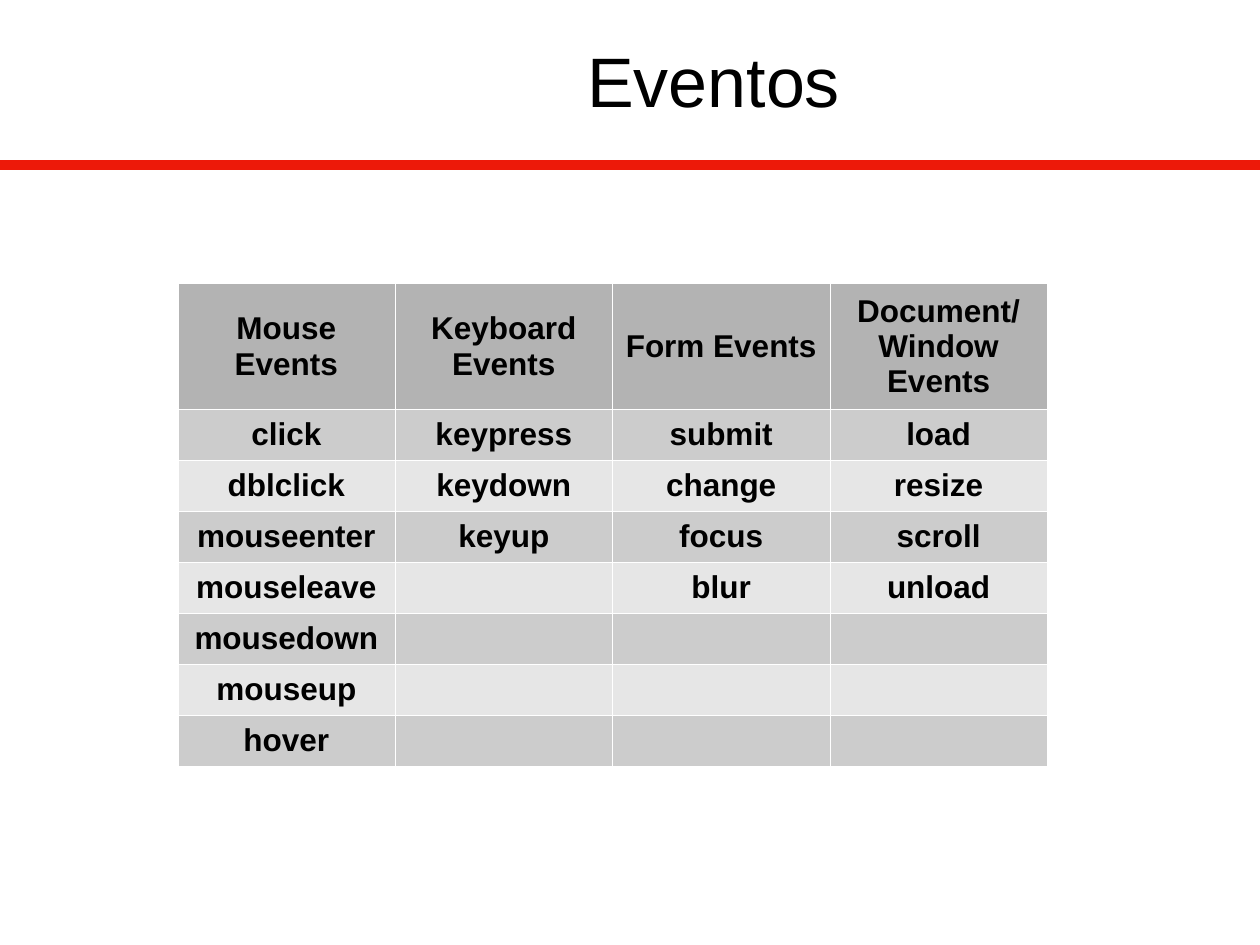
from dataclasses import dataclass

from lxml import etree
from pptx import Presentation
from pptx.dml.color import RGBColor
from pptx.enum.shapes import MSO_CONNECTOR
from pptx.enum.text import MSO_ANCHOR, PP_ALIGN
from pptx.oxml.ns import qn
from pptx.util import Pt

STRAIGHT = MSO_CONNECTOR.STRAIGHT
MIDDLE = MSO_ANCHOR.MIDDLE
CENTER = PP_ALIGN.CENTER

SLIDE_WIDTH, SLIDE_HEIGHT = 720, 540
TABLE_LEFT, TABLE_TOP = 101.5, 162
COLUMN_WIDTH, HEADER_HEIGHT, ROW_HEIGHT = 124.25, 72, 29
HEADER_FILL = "B3B3B3"
BAND_FILLS = ("CCCCCC", "E6E6E6")
BORDER_SIDES = ("a:lnL", "a:lnR", "a:lnT", "a:lnB")


@dataclass(frozen=True)
class EventGroup:
    heading: str
    events: tuple[str, ...]


EVENT_GROUPS = (
    EventGroup("Mouse Events", ("click", "dblclick", "mouseenter", "mouseleave",
                                "mousedown", "mouseup", "hover")),
    EventGroup("Keyboard Events", ("keypress", "keydown", "keyup")),
    EventGroup("Form Events", ("submit", "change", "focus", "blur")),
    EventGroup("Document/Window Events", ("load", "resize", "scroll", "unload")),
)


def color(hex_code: str) -> RGBColor:
    return RGBColor.from_string(hex_code)


def write(frame, text: str, *, size: float, bold: bool = False,
          fill: str = "000000", font: str = "Arial") -> None:
    paragraph = frame.paragraphs[0]
    paragraph.alignment = CENTER
    run = paragraph.add_run()
    run.text = text
    run.font.name = font
    run.font.size = Pt(size)
    run.font.bold = bold
    run.font.color.rgb = color(fill)


def add_rule(slide, y: float, width: float, stroke: str) -> None:
    rule = slide.shapes.add_connector(STRAIGHT, Pt(0), Pt(y), Pt(SLIDE_WIDTH), Pt(y))
    rule.line.color.rgb = color(stroke)
    rule.line.width = Pt(width)
    etree.SubElement(rule._element.spPr, qn("a:effectLst"))


def format_title(title, text: str) -> None:
    title.left, title.top = Pt(110), Pt(-6.5)
    title.width, title.height = Pt(595.5), Pt(103.5)
    title.text_frame.vertical_anchor = MIDDLE
    write(title.text_frame, text, size=40)


def add_borders(cell, width: float, stroke: str) -> None:
    properties = cell._tc.get_or_add_tcPr()
    for side in BORDER_SIDES:
        border = etree.SubElement(properties, qn(side), w=str(int(Pt(width))))
        solid = etree.SubElement(border, qn("a:solidFill"))
        etree.SubElement(solid, qn("a:srgbClr"), val=stroke)


def format_cell(cell, text: str, fill: str) -> None:
    add_borders(cell, 0.06, "FFFFFF")
    cell.fill.solid()
    cell.fill.fore_color.rgb = color(fill)
    cell.vertical_anchor = MIDDLE
    if text:
        write(cell.text_frame, text, size=18, bold=True)


def add_event_table(slide, groups: tuple[EventGroup, ...]) -> None:
    event_rows = max(len(group.events) for group in groups)
    table = slide.shapes.add_table(
        event_rows + 1, len(groups), Pt(TABLE_LEFT), Pt(TABLE_TOP),
        Pt(COLUMN_WIDTH * len(groups)), Pt(HEADER_HEIGHT + ROW_HEIGHT * event_rows),
    ).table
    for row_index, row in enumerate(table.rows):
        row.height = Pt(ROW_HEIGHT if row_index else HEADER_HEIGHT)
    for column_index, group in enumerate(groups):
        table.columns[column_index].width = Pt(COLUMN_WIDTH)
        format_cell(table.cell(0, column_index), group.heading, HEADER_FILL)
        for event_index in range(event_rows):
            event = group.events[event_index] if event_index < len(group.events) else ""
            format_cell(table.cell(event_index + 1, column_index), event,
                        BAND_FILLS[event_index % len(BAND_FILLS)])


def main() -> None:
    presentation = Presentation()
    presentation.slide_width, presentation.slide_height = Pt(SLIDE_WIDTH), Pt(SLIDE_HEIGHT)
    slide = presentation.slides.add_slide(presentation.slide_layouts[5])
    format_title(slide.shapes.title, "Eventos")
    add_rule(slide, 94.25, 6, "ED1909")
    add_event_table(slide, EVENT_GROUPS)
    presentation.save("out.pptx")


if __name__ == "__main__":
    main()
